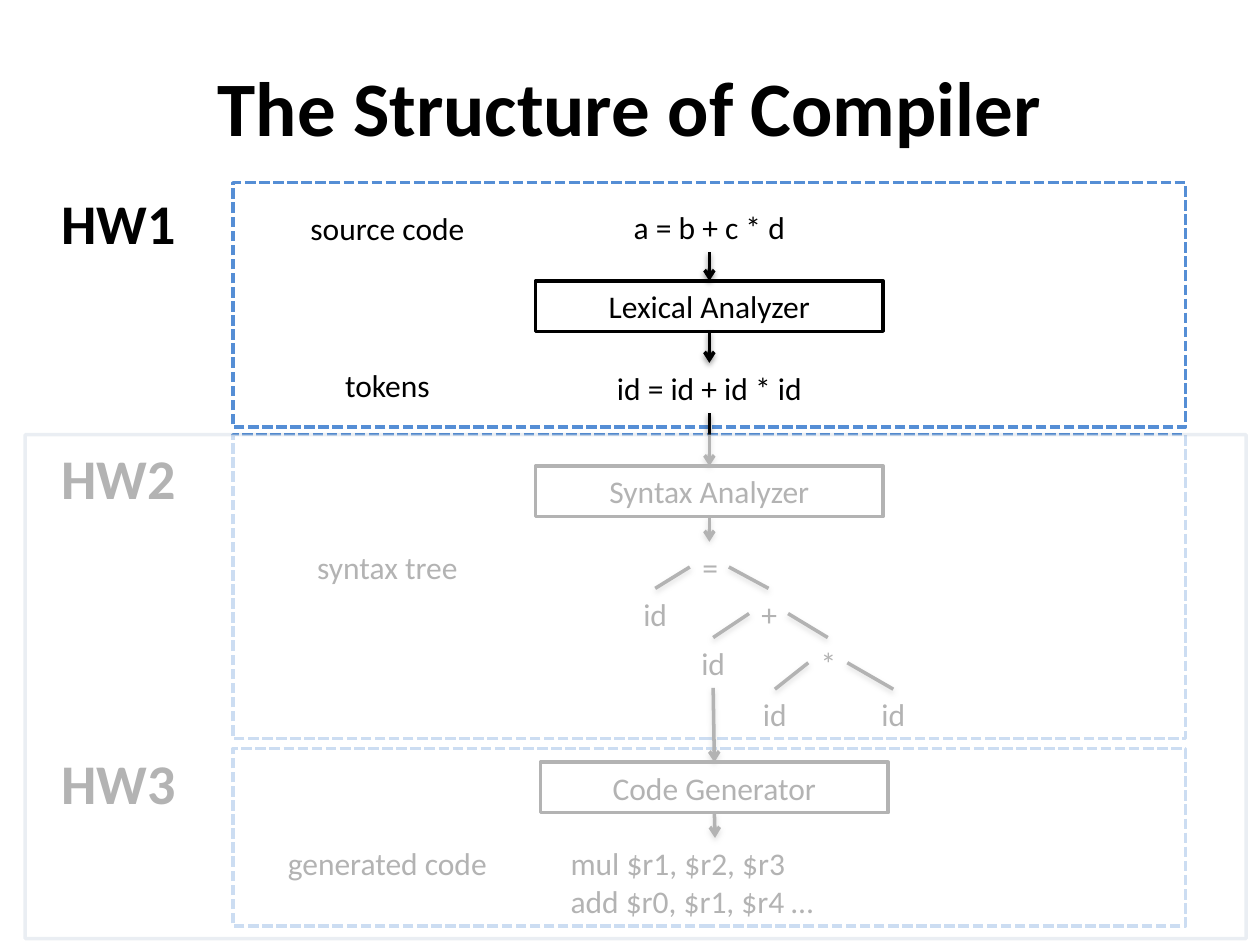
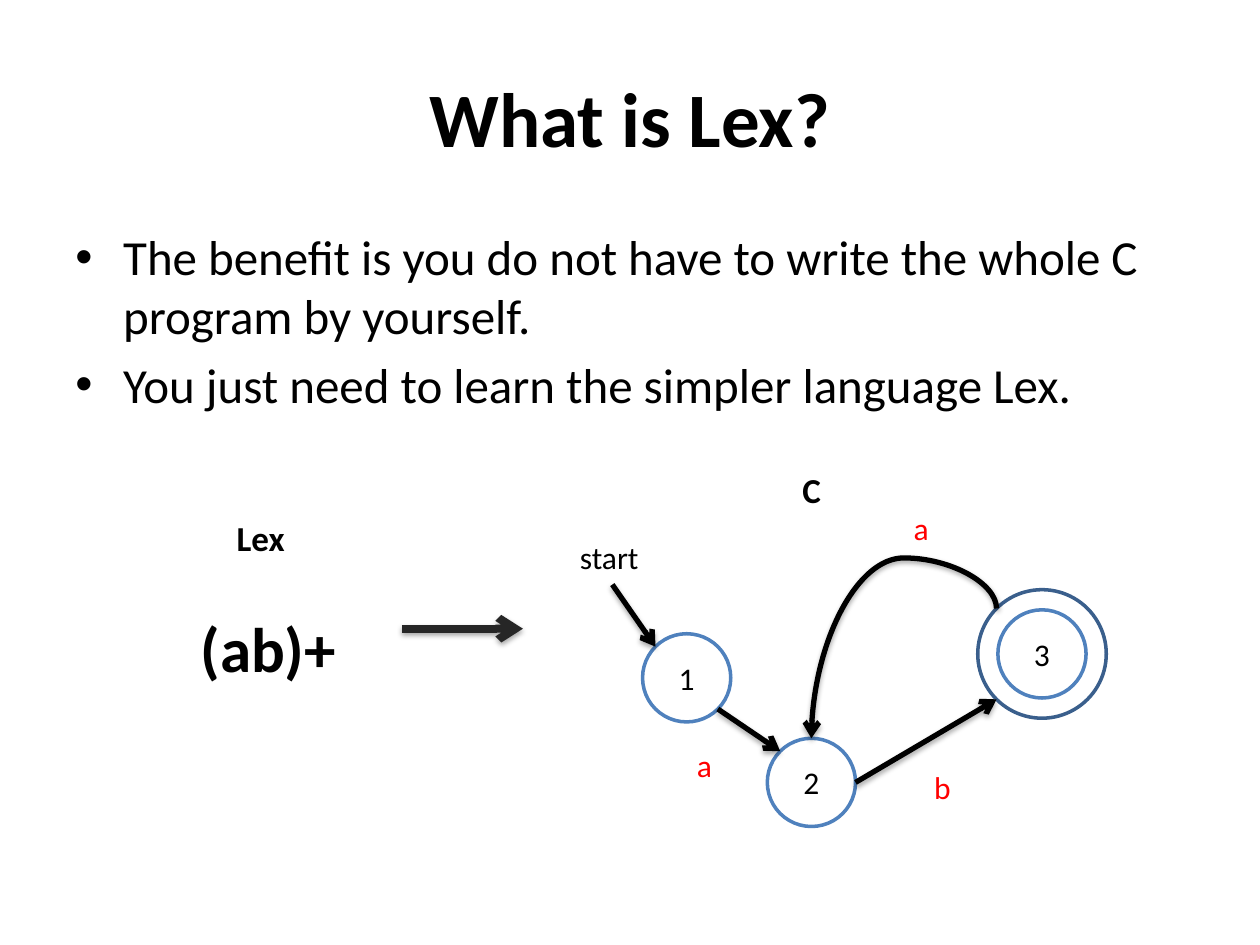
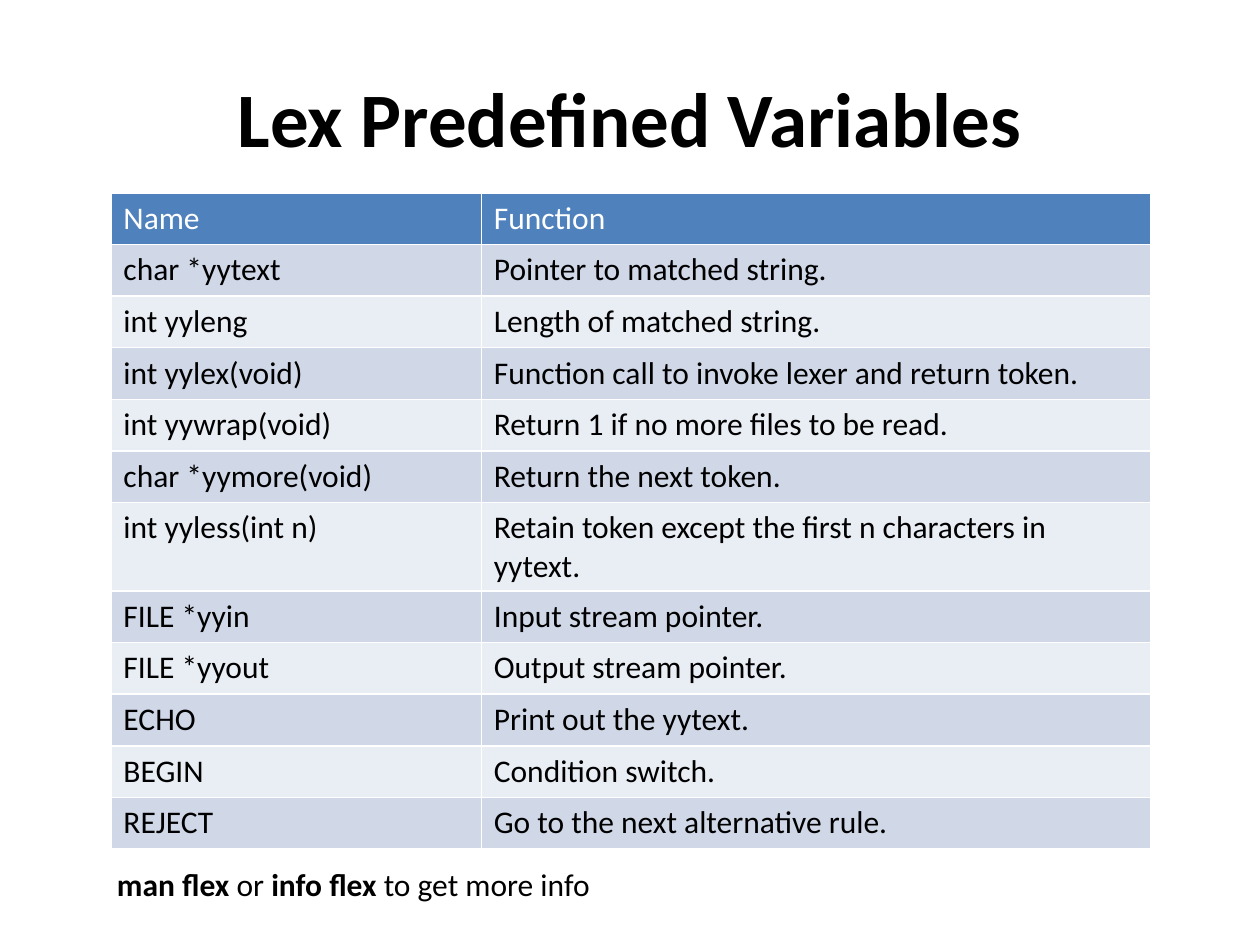
from math import cos, radians, sin

from lxml import etree
from pptx import Presentation
from pptx.dml.color import RGBColor
from pptx.enum.dml import MSO_LINE
from pptx.enum.shapes import MSO_CONNECTOR as LINK, MSO_SHAPE as SHAPE
from pptx.enum.text import MSO_ANCHOR as ANCHOR, PP_ALIGN as ALIGN
from pptx.oxml.ns import qn
from pptx.util import Inches, Pt

FONT = "Calibri"
BLACK, WHITE, RED = "000000", "FFFFFF", "FF0000"
BLUE, DARK_BLUE, DASH_BLUE, CHARCOAL = "4F81BD", "3A5F8C", "558ED5", "262626"
BANDS = ("D0D8E8", "E9EDF4")
WIDTH, HEIGHT = 10, 7.5
LINE_H = 0.4
TOP, LEFT, BOTTOM, RIGHT = range(4)

# Homework: top and height of its frame, top of its label
HOMEWORKS = {"HW1": (1.45, 1.94, 1.45), "HW2": (3.45, 2.41, 3.47), "HW3": (5.94, 1.41, 5.89)}
STAGE_NAMES = [("source code", 1.61), ("tokens", 2.86), ("syntax tree", 4.3), ("generated code", 6.65)]
# Key: text, centre x, top, width
ANALYZERS = {
    "lexer": ("Lexical Analyzer", 5.63, 2.23, 2.76),
    "parser": ("Syntax Analyzer", 5.63, 3.7, 2.76),
    "generator": ("Code Generator", 5.67, 6.05, 2.76),
}
FORMS = {
    "source": ("a = b + c * d", 5.63, 1.6, 2.13),
    "tokens": ("id = id + id * id", 5.63, 2.88, 2.05),
    "assign": ("=", 5.63, 4.3, 0.31),
    "id a": ("id", 5.2, 4.67, 0.54),
    "plus": ("+", 6.1, 4.67, 0.31),
    "id b": ("id", 5.66, 5.06, 0.54),
    "times": ("*", 6.57, 5.06, 0.31),
    "id c": ("id", 6.15, 5.47, 0.54),
    "id d": ("id", 7.09, 5.47, 0.54),
}
GENERATED = "mul $r1, $r2, $r3\nadd $r0, $r1, $r4 …"
FLOW = [("source", "lexer"), ("lexer", "tokens"), ("tokens", "parser"),
        ("parser", "assign"), ("id b", "generator"), ("generator", "code")]
TREE = [("assign", "id a", "plus"), ("plus", "id b", "times"), ("times", "id c", "id d")]

BENEFITS = ("The benefit is you do not have to write the whole C program by yourself.\n"
            "You just need to learn the simpler language Lex.")
STATES = {"1": (5.45, 5.38), "2": (6.44, 6.21), "3": (8.27, 5.19)}
STATE_R, ACCEPT_R = 0.35, 0.51
# Text, left, top, width, colour
EDGE_LABELS = [("start", 4.47, 4.22, 0.73, BLACK), ("a", 5.38, 5.87, 0.42, RED),
               ("a", 7.1, 3.99, 0.42, RED), ("b", 7.27, 6.05, 0.42, RED)]

VARIABLES = [
    ("Name", "Function"),
    ("char *yytext", "Pointer to matched string."),
    ("int yyleng", "Length of matched string."),
    ("int yylex(void)", "Function call to invoke lexer and return token."),
    ("int yywrap(void)", "Return 1 if no more files to be read."),
    ("char *yymore(void)", "Return the next token."),
    ("int yyless(int n)", "Retain token except the first n characters in yytext."),
    ("FILE *yyin", "Input stream pointer."),
    ("FILE *yyout", "Output stream pointer."),
    ("ECHO", "Print out the yytext."),
    ("BEGIN", "Condition switch."),
    ("REJECT", "Go to the next alternative rule."),
]
COLUMNS, ROW_H = (2.94, 5.31), 0.41
HINT = [("man flex ", True), ("or ", False), ("info flex ", True), ("to get more info", False)]


def rgb(code):
    return RGBColor.from_string(code)


def add_node(parent, tag, **attributes):
    return etree.SubElement(parent, qn(tag), {k: str(v) for k, v in attributes.items()})


def fade(color_format_parent, percent):
    """Make the solid fill found below an element partly transparent."""
    color = color_format_parent.find(qn("a:solidFill"))[0]
    add_node(color, "a:alpha", val=percent * 1000)


def write(frame, text, size=18, color=BLACK, bold=False, align=ALIGN.CENTER,
          anchor=ANCHOR.TOP, wrap=True, bullet=None):
    """Fill a text frame; text is a string with line breaks or a list of (run, bold)."""
    frame.word_wrap, frame.vertical_anchor = wrap, anchor
    lines = [[(line, bold) for line in [row]] for row in text.split("\n")] if isinstance(text, str) else [text]
    for i, runs in enumerate(lines):
        paragraph = frame.add_paragraph() if i else frame.paragraphs[0]
        paragraph.alignment = align
        for words, is_bold in runs:
            run = paragraph.add_run()
            run.text = words
            font = run.font
            font.name, font.size, font.bold = FONT, Pt(size), is_bold
            font.color.rgb = rgb(color)
        if bullet:
            paragraph.space_before = Pt(size * 0.2)
            props = paragraph._p.get_or_add_pPr()
            props.set("marL", str(Inches(0.38)))
            props.set("indent", str(-Inches(0.38)))
            add_node(props, "a:buFont", typeface="Arial")
            add_node(props, "a:buChar", char=bullet)


def add_text(slide, text, left, top, width, height=LINE_H, **style):
    box = slide.shapes.add_textbox(*map(Inches, (left, top, width, height)))
    write(box.text_frame, text, **style)
    return box


def add_title(slide, text, top=0.3):
    add_text(slide, text, 0.5, top, 9, 1.25, size=44, bold=True, anchor=ANCHOR.MIDDLE)


def add_outline(slide, kind, left, top, width, height, line, text=None, fill=None, dash=None):
    shape = slide.shapes.add_shape(kind, *map(Inches, (left, top, width, height)))
    shape.shadow.inherit = False
    if fill:
        shape.fill.solid()
        shape.fill.fore_color.rgb = rgb(fill)
    else:
        shape.fill.background()
    shape.line.color.rgb, shape.line.width = rgb(line), Pt(2)
    if dash:
        shape.line.dash_style = dash
    if text:
        write(shape.text_frame, text, anchor=ANCHOR.MIDDLE)
    return shape


def add_circle(slide, center, radius, line, **style):
    x, y = center
    return add_outline(slide, SHAPE.OVAL, x - radius, y - radius, 2 * radius, 2 * radius, line, **style)


def add_link(slide, start=(0, 0), end=(0, 0), color=BLACK, width=2, arrow=True,
             kind=LINK.STRAIGHT, shade=38):
    link = slide.shapes.add_connector(kind, *map(Inches, (*start, *end)))
    link.line.color.rgb, link.line.width = rgb(color), Pt(width)
    if arrow:
        add_node(link.line._ln, "a:tailEnd", type="arrow")
    effects = add_node(link._element.spPr, "a:effectLst")
    shadow = add_node(effects, "a:outerShdw", blurRad=Pt(3.1), dist=Pt(1.6),
                      dir=90 * 60000, rotWithShape=0)
    add_node(add_node(shadow, "a:srgbClr", val=BLACK), "a:alpha", val=shade * 1000)
    return link


def join(slide, begin, begin_side, end, end_side, arrow=True):
    link = add_link(slide, arrow=arrow)
    link.begin_connect(begin, begin_side)
    link.end_connect(end, end_side)


def rim(state, degrees, radius=STATE_R):
    """Point on a state's circle, counted clockwise from the right."""
    x, y = STATES[state]
    return x + radius * cos(radians(degrees)), y + radius * sin(radians(degrees))


def compiler_slide(slide):
    add_title(slide, "The Structure of Compiler", top=0.21)
    for name, (top, height, label_top) in HOMEWORKS.items():
        add_text(slide, name, 0.35, label_top, 1.18, 0.64, size=32, bold=True)
        add_outline(slide, SHAPE.RECTANGLE, 1.85, top, 7.56, height, DASH_BLUE, dash=MSO_LINE.SQUARE_DOT)
    for name, top in STAGE_NAMES:
        add_text(slide, name, 2.01, top, 2.13)
    parts = {"code": add_text(slide, GENERATED, 4.43, 6.65, 2.49, 0.71, align=ALIGN.LEFT)}
    for key, (text, center, top, width) in FORMS.items():
        parts[key] = add_text(slide, text, center - width / 2, top, width)
    for key, (text, center, top, width) in ANALYZERS.items():
        parts[key] = add_outline(slide, SHAPE.RECTANGLE, center - width / 2, top, width, LINE_H, BLACK, text)
    for begin, end in FLOW:
        join(slide, parts[begin], BOTTOM, parts[end], TOP)
    for operator, *operands in TREE:
        for side, operand in zip((LEFT, RIGHT), operands):
            join(slide, parts[operator], side, parts[operand], TOP, arrow=False)
    veil = add_outline(slide, SHAPE.RECTANGLE, 0.2, 3.45, 9.69, 4, DARK_BLUE, fill=WHITE)
    fade(veil._element.spPr, 70)
    fade(veil.line._ln, 9)


def lex_slide(slide):
    add_title(slide, "What is Lex?")
    add_text(slide, BENEFITS, 0.5, 1.75, 9, 4.95, size=28, align=ALIGN.LEFT, bullet="•")
    add_text(slide, "(ab)+", 1.38, 4.79, 1.5, 0.71, size=36, bold=True)
    for language, left, top, width in (("Lex", 1.78, 4.05, 0.59), ("C", 6.27, 3.67, 0.35)):
        add_text(slide, language, left, top, width, 0.44, size=20, bold=True, align=ALIGN.LEFT, wrap=False)
    add_link(slide, (3.19, 4.99), (4.15, 4.99), color=CHARCOAL, width=4.5, shade=35)
    for name, center in STATES.items():
        add_circle(slide, center, STATE_R, BLUE, text=name, fill=WHITE)
    add_circle(slide, STATES["3"], ACCEPT_R, DARK_BLUE)
    steps = [((4.86, 4.64), rim("1", 225)), (rim("1", 45), rim("2", 225)),
             (rim("2", 0), rim("3", 135, ACCEPT_R))]
    for start, end in steps:
        add_link(slide, start, end, width=3, shade=35)
    add_loop(slide, rim("3", 225, ACCEPT_R), rim("2", 270))
    for text, left, top, width, color in EDGE_LABELS:
        add_text(slide, text, left, top, width, color=color)


def add_loop(slide, start, end):
    """Curve that rises from start and comes down on end, as a connector turned by 270 degrees."""
    loop = add_link(slide, start, end, width=3, kind=LINK.CURVE, shade=35)
    across, down = start[0] - end[0], end[1] - start[1]
    loop.left = Inches((start[0] + end[0] - down) / 2)
    loop.top = Inches((start[1] + end[1] - across) / 2)
    loop.width, loop.height = Inches(down), Inches(across)
    frame = loop._element.spPr.find(qn("a:xfrm"))
    for key, value in (("rot", 270 * 60000), ("flipH", 1), ("flipV", 1)):
        frame.set(key, str(value))
    guides = loop._element.spPr.find(qn("a:prstGeom")).find(qn("a:avLst"))
    add_node(guides, "a:gd", name="adj1", fmla="val -38900")


def variables_slide(slide):
    add_title(slide, "Lex Predefined Variables")
    size = (sum(COLUMNS), ROW_H * len(VARIABLES))
    table = slide.shapes.add_table(len(VARIABLES), len(COLUMNS), *map(Inches, (0.88, 1.53, *size))).table
    for column, width in zip(table.columns, COLUMNS):
        column.width = Inches(width)
    for r, row in enumerate(VARIABLES):
        for c, text in enumerate(row):
            cell = table.cell(r, c)
            write(cell.text_frame, text, color=BLACK if r else WHITE, align=ALIGN.LEFT)
            props = cell._tc.get_or_add_tcPr()
            for side in "LRTB":
                border = add_node(props, f"a:ln{side}", w=Pt(1))
                add_node(add_node(border, "a:solidFill"), "a:srgbClr", val=WHITE)
            cell.fill.solid()
            cell.fill.fore_color.rgb = rgb(BANDS[(r - 1) % 2] if r else BLUE)
    add_text(slide, HINT, 0.83, 6.82, 4.02, align=ALIGN.LEFT, wrap=False)


def main():
    deck = Presentation()
    deck.slide_width, deck.slide_height = Inches(WIDTH), Inches(HEIGHT)
    for build in (compiler_slide, lex_slide, variables_slide):
        build(deck.slides.add_slide(deck.slide_layouts[6]))
    deck.save("out.pptx")


if __name__ == "__main__":
    main()
